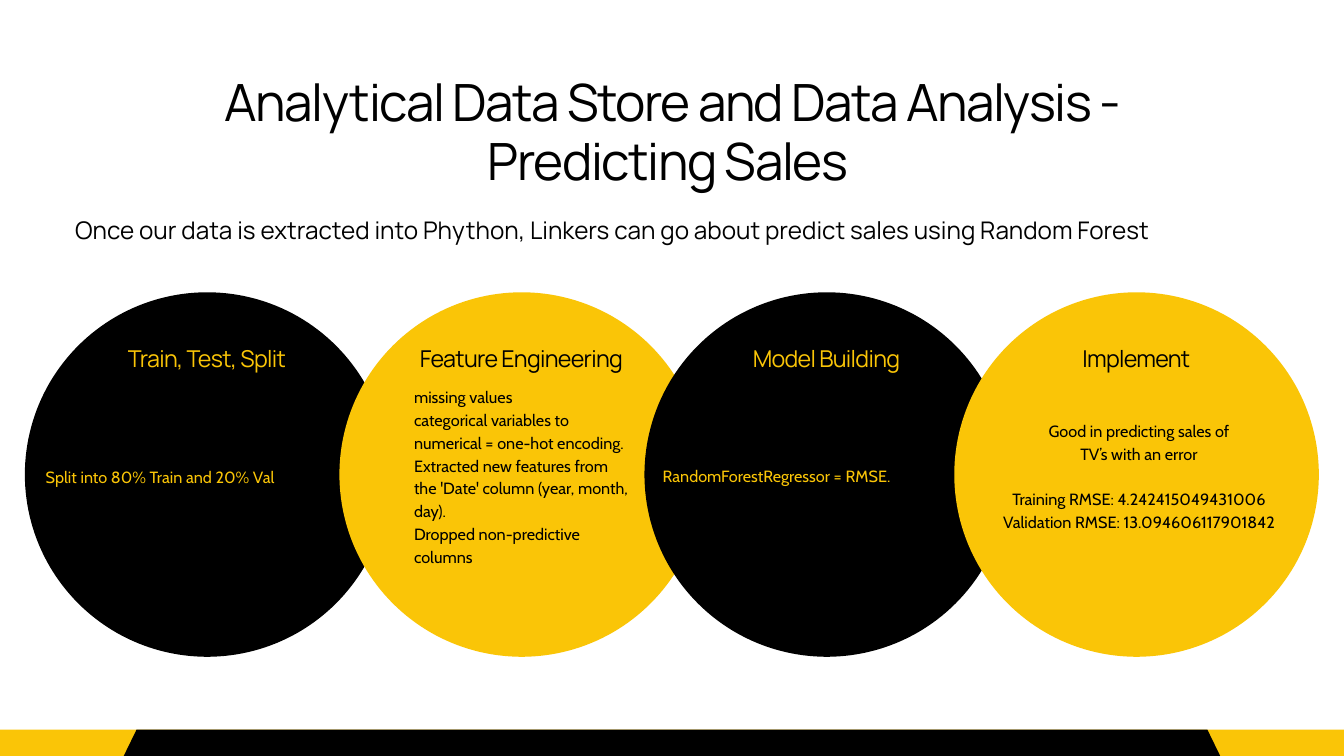
from pptx import Presentation
from pptx.dml.color import RGBColor
from pptx.enum.shapes import MSO_SHAPE
from pptx.enum.text import MSO_ANCHOR, MSO_AUTO_SIZE, PP_ALIGN
from pptx.util import Cm, Pt

BLACK = RGBColor(0x00, 0x00, 0x00)
GOLD = RGBColor(0xFA, 0xC5, 0x07)

WIDE, HIGH = 50.8, 28.58
DISC = 13.78

FRAME = dict(margin_left=0, margin_top=0, margin_right=0, margin_bottom=0,
             word_wrap=True, auto_size=MSO_AUTO_SIZE.NONE,
             vertical_anchor=MSO_ANCHOR.TOP)
TITLE = dict(font="Manrope", size=55, line=63.2, align=PP_ALIGN.CENTER, track=-160)
LEAD = dict(font="Manrope", size=26, line=30.9, align=PP_ALIGN.JUSTIFY, track=0)
HEAD = dict(font="Manrope", size=24.9, line=28.2, align=PP_ALIGN.CENTER, track=-70)
BODY = dict(font="Cabin", size=17.4, line=24.4, align=PP_ALIGN.LEFT, track=0)
MID = dict(BODY, align=PP_ALIGN.CENTER)

# disc left, fill, ink, heading, body box within the disc, style, paragraph groups
STEPS = [
    (0.94, BLACK, GOLD, "Train, Test, Split", (0.79, 6.5, 9.98, 0.81), BODY,
     [["Split into 80% Train and 20% Val"]]),
    (12.83, GOLD, BLACK, "Feature Engineering", (2.82, 3.48, 8.13, 7.59), BODY,
     [["missing values",
       "categorical variables to numerical = one-hot encoding.",
       "Extracted new features from the 'Date' column (year, month, day).",
       "Dropped non-predictive columns"]]),
    (24.36, BLACK, GOLD, "Model Building", (0.69, 6.45, 10.6, 0.81), BODY,
     [["RandomForestRegressor = RMSE."]]),
    (36.07, GOLD, BLACK, "Implement", (1.14, 4.75, 11.68, 4.19), MID,
     [["Good in predicting sales of", "TV’s with an error"],
      ["Training RMSE: 4.242415049431006",
       "Validation RMSE: 13.094606117901842"]]),
]


def place(item, box):
    for key, val in zip(("left", "top", "width", "height"), box):
        setattr(item, key, Cm(val))


def write(item, groups, style, ink):
    """Fill a text shape; each group after the first starts one line lower."""
    frame = item.text_frame
    for key, val in FRAME.items():
        setattr(frame, key, val)
    lines = [(text, g > 0 and i == 0)
             for g, group in enumerate(groups) for i, text in enumerate(group)]
    for n, (text, gap) in enumerate(lines):
        para = frame.paragraphs[0] if n == 0 else frame.add_paragraph()
        form = dict(alignment=style["align"], line_spacing=Pt(style["line"]),
                    space_before=Pt(style["line"] if gap else 0))
        for key, val in form.items():
            setattr(para, key, val)
        run = para.add_run()
        run.text = text
        run.font.color.rgb = ink
        for key, val in dict(name=style["font"], size=Pt(style["size"])).items():
            setattr(run.font, key, val)
        if style["track"]:
            run._r.get_or_add_rPr().set("spc", str(style["track"]))


def label(slide, box, groups, style, ink):
    item = slide.shapes.add_textbox(*map(Cm, box))
    write(item, groups, style, ink)


def solid(slide, kind, box, fill):
    shape = slide.shapes.add_shape(kind, *map(Cm, box))
    shape.shadow.inherit = False
    shape.fill.solid()
    shape.fill.fore_color.rgb = fill
    shape.line.fill.background()
    return shape


def header(slide, left, top):
    title = slide.shapes.title
    place(title, (left + 3.79, top, 37.57, 4.62))
    write(title, [["Analytical Data Store and Data Analysis - Predicting Sales "]],
          TITLE, BLACK)
    lead = ("Once our data is extracted into Phython, Linkers can go about "
            "predict sales using Random Forest")
    label(slide, (left, top + 5.38, 45.09, 1.12), [[lead]], LEAD, BLACK)


def step(slide, left, top, ink, head, box, style, groups):
    """Write the heading and body of one disc."""
    label(slide, (left + 2.41, top + 2.01, 8.94, 1.07), [[head]], HEAD, ink)
    dx, dy, wide, high = box
    label(slide, (left + dx, top + dy, wide, high), groups, style, ink)


def steps(slide, top):
    for left, fill, *_ in STEPS:
        solid(slide, MSO_SHAPE.OVAL, (left, top, DISC, DISC), fill)
    for left, _, *rest in STEPS:
        step(slide, left, top, *rest)


def footer(slide, top):
    """Two centred trapezoids that bleed off the bottom edge."""
    high, slant = 4.39, 2.14
    for wide, fill in ((57.25, GOLD), (44.75, BLACK)):
        band = solid(slide, MSO_SHAPE.TRAPEZOID,
                     ((WIDE - wide) / 2, top, wide, high), fill)
        band.adjustments[0] = slant / high


def main():
    deck = Presentation()
    deck.slide_width, deck.slide_height = Cm(WIDE), Cm(HIGH)
    slide = deck.slides.add_slide(deck.slide_layouts[5])
    header(slide, 2.84, 2.77)
    steps(slide, 11.05)
    footer(slide, 27.58)
    deck.save("out.pptx")


if __name__ == "__main__":
    main()
